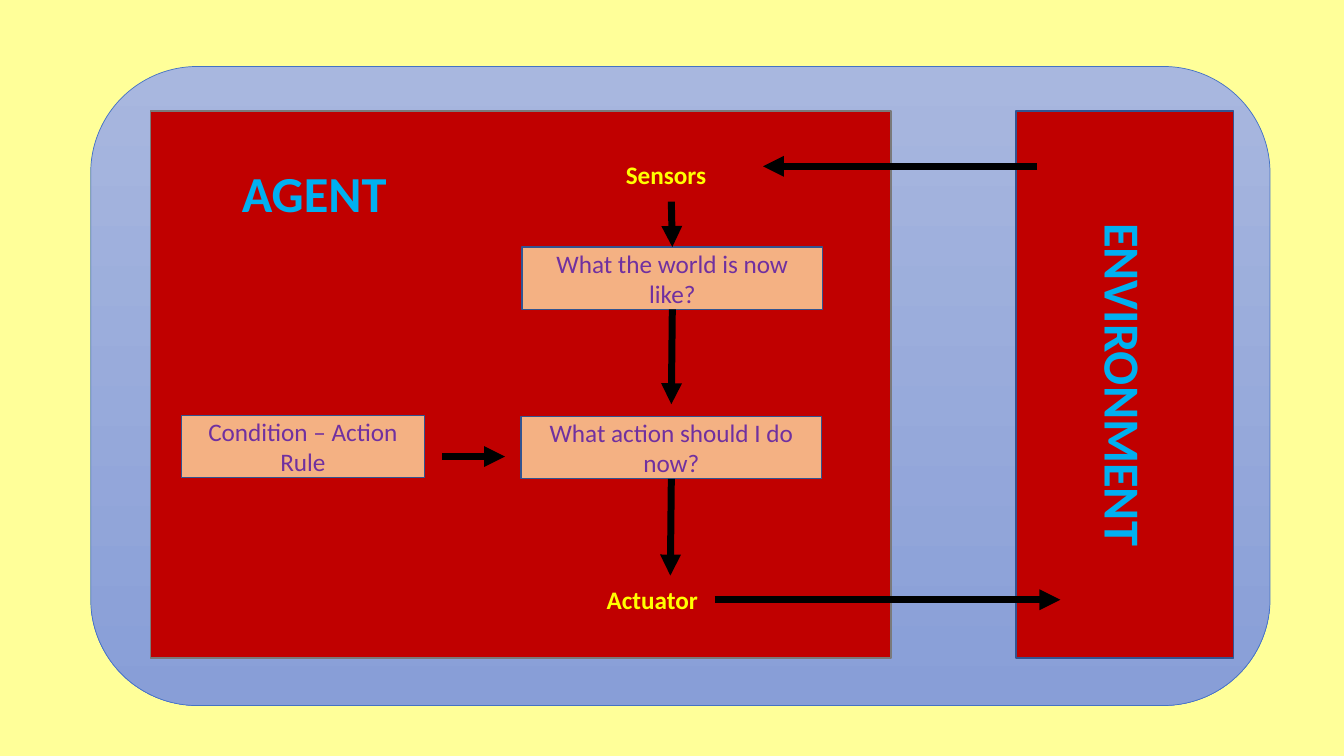
"""Build a slide showing a simple reflex agent and its environment."""
from dataclasses import dataclass

from lxml.etree import SubElement
from pptx import Presentation
from pptx.dml.color import RGBColor as Color
from pptx.enum.shapes import MSO_CONNECTOR as Connector, MSO_SHAPE as Preset
from pptx.enum.text import MSO_ANCHOR as Anchor, MSO_AUTO_SIZE as AutoSize, PP_ALIGN as Align
from pptx.oxml.ns import qn
from pptx.util import Inches, Pt

TOP, BOTTOM = 0, 2


@dataclass(frozen=True)
class Theme:
    """Hold the colours, type and line sizes of the slide."""
    font: str = "Calibri"
    title_size: int = 36
    body_size: int = 18
    background: str = "FFFF99"
    frame_top: str = "A8B7DF"
    frame_bottom: str = "889ED7"
    frame_line: str = "4472C4"
    panel: str = "C00000"
    agent_line: str = "7A7A7A"
    box: str = "F4B183"
    box_line: str = "325491"
    title: str = "00B0F0"
    question: str = "7030A0"
    label: str = "FFFF00"
    arrow: str = "000000"
    arrow_width: int = 5


THEME = Theme()


def cells(*counts):
    """Convert counts of tenth-inch grid cells to lengths."""
    return [Inches(count / 10) for count in counts]


def color(value):
    """Return the colour for a hexadecimal string."""
    return Color.from_string(value)


def write(shape, text, size, ink, bold=False, align=Align.LEFT):
    """Put one formatted run in the shape."""
    paragraph = shape.text_frame.paragraphs[0]
    paragraph.alignment = align
    run = paragraph.add_run()
    run.text = text
    run.font.name = THEME.font
    run.font.size = Pt(size)
    run.font.bold = bold
    run.font.color.rgb = color(ink)


def add_block(slide, area, fill, line, line_width=1, preset=Preset.RECTANGLE):
    """Add an outlined shape, with a vertical gradient if two fills are given."""
    shape = slide.shapes.add_shape(preset, *cells(*area))
    shape.shadow.inherit = False
    if isinstance(fill, tuple):
        shape.fill.gradient()
        shape.fill.gradient_angle = 270
        for stop, value in zip(shape.fill.gradient_stops, fill):
            stop.color.rgb = color(value)
    else:
        shape.fill.solid()
        shape.fill.fore_color.rgb = color(fill)
    shape.line.color.rgb = color(line)
    shape.line.width = Pt(line_width)
    shape.text_frame.vertical_anchor = Anchor.MIDDLE
    return shape


def add_box(slide, text, left, top, width):
    """Add a box holding one step of the agent."""
    box = add_block(slide, (left, top, width, 6.2), THEME.box, THEME.box_line)
    write(box, text, THEME.body_size, THEME.question, align=Align.CENTER)
    return box


def add_label(slide, text, area, size, ink):
    """Add a bold label that does not wrap."""
    label = slide.shapes.add_textbox(*cells(*area))
    label.text_frame.word_wrap = False
    label.text_frame.auto_size = AutoSize.SHAPE_TO_FIT_TEXT
    write(label, text, size, ink, bold=True)


def add_arrow(slide, start, end, source=None, target=None):
    """Add an arrow, joined to a source's bottom or a target's top."""
    arrow = slide.shapes.add_connector(Connector.STRAIGHT, *cells(*start, *end))
    if source is not None:
        arrow.begin_connect(source, BOTTOM)
    if target is not None:
        arrow.end_connect(target, TOP)
    arrow.line.color.rgb = color(THEME.arrow)
    arrow.line.width = Pt(THEME.arrow_width)
    SubElement(arrow.line._get_or_add_ln(), qn("a:tailEnd"), type="triangle")
    SubElement(arrow._element.spPr, qn("a:effectLst"))


def add_panels(slide):
    """Add the frame, the agent panel and the environment panel."""
    add_block(slide, (9, 6.6, 117, 63.4), (THEME.frame_top, THEME.frame_bottom),
              THEME.frame_line, 0.5, Preset.ROUNDED_RECTANGLE)
    add_block(slide, (14.9, 11, 73.5, 54.3), THEME.panel, THEME.agent_line)
    environment = add_block(slide, (100.8, 11, 21.6, 54.3), THEME.panel, THEME.box_line)
    environment.text_frame._txBody.bodyPr.set("vert", "vert")
    write(environment, "ENVIRONMENT", THEME.title_size, THEME.title, True, Align.CENTER)


def main():
    """Build and save the slide."""
    presentation = Presentation()
    presentation.slide_width, presentation.slide_height = cells(133.33, 75)
    slide = presentation.slides.add_slide(presentation.slide_layouts[6])
    slide.background.fill.solid()
    slide.background.fill.fore_color.rgb = color(THEME.background)

    add_panels(slide)
    add_label(slide, "AGENT", (23, 15.6, 19.1, 7.1), THEME.title_size, THEME.title)
    world = add_box(slide, "What the world is now like?", 51.8, 24.5, 29.8)
    action = add_box(slide, "What action should I do now?", 51.7, 41.3, 29.8)
    add_box(slide, "Condition – Action Rule", 18, 41.2, 24.1)

    add_arrow(slide, (66.7, 30.7), (66.6, 40.1), source=world)
    add_arrow(slide, (66.6, 47.5), (66.5, 57.1), source=action)
    add_arrow(slide, (66.6, 20), (66.7, 24.5), target=world)
    add_arrow(slide, (43.9, 45.3), (50.1, 45.3))
    add_arrow(slide, (70.9, 59.5), (105.2, 59.5))
    add_arrow(slide, (102.9, 16.5), (75.7, 16.5))

    add_label(slide, "Sensors", (61.1, 15.3, 11, 4), THEME.body_size, THEME.label)
    add_label(slide, "Actuator", (59.2, 57.5, 11.8, 4), THEME.body_size, THEME.label)
    presentation.save("out.pptx")


if __name__ == "__main__":
    main()
